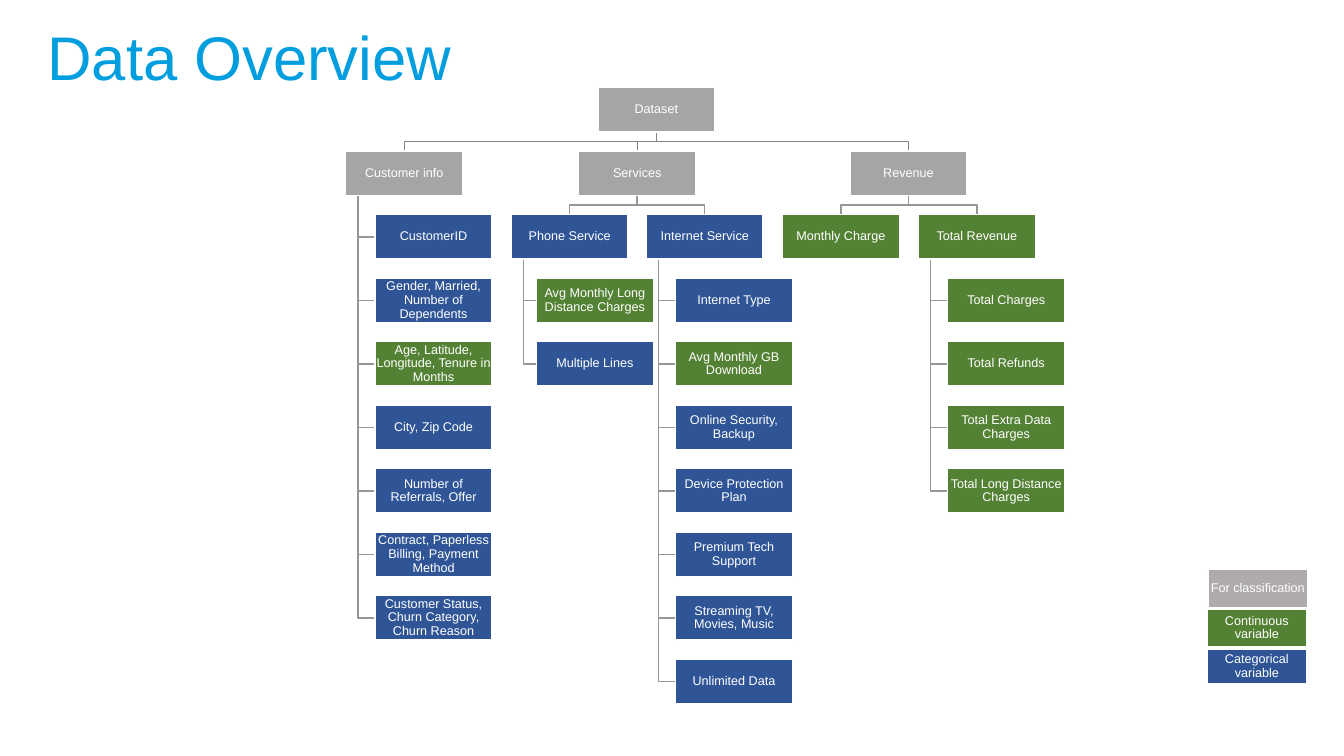
"""Build the Data Overview slide: a tree of dataset variables with a colour legend."""
from pptx import Presentation
from pptx.dml.color import RGBColor
from pptx.enum.shapes import MSO_SHAPE
from pptx.enum.text import MSO_ANCHOR, PP_ALIGN
from pptx.util import Inches, Pt

SKY = RGBColor(0x00, 0x9E, 0xDF)
WHITE = RGBColor(0xFF, 0xFF, 0xFF)
GRAY = RGBColor(0xA5, 0xA5, 0xA5)
LEGEND_GRAY = RGBColor(0xAF, 0xAB, 0xAB)
BLUE = RGBColor(0x2F, 0x55, 0x97)
GREEN = RGBColor(0x54, 0x82, 0x35)
ROOT_LINE = RGBColor(0x84, 0x84, 0x84)
BRANCH_LINE = RGBColor(0x96, 0x96, 0x96)

BOX_W, BOX_H = 1.16, 0.44
TOP, PITCH = 0.87, 0.63
STEM = 0.12

heads = [
    ("Dataset", 5.93, 0, GRAY),
    ("Customer info", 3.43, 1, GRAY),
    ("Services", 5.74, 1, GRAY),
    ("Revenue", 8.43, 1, GRAY),
    ("Phone Service", 5.07, 2, BLUE),
    ("Internet Service", 6.41, 2, BLUE),
    ("Monthly Charge", 7.76, 2, GREEN),
    ("Total Revenue", 9.11, 2, GREEN),
]
fans = [
    ("Dataset", ["Customer info", "Services", "Revenue"], ROOT_LINE),
    ("Services", ["Phone Service", "Internet Service"], BRANCH_LINE),
    ("Revenue", ["Monthly Charge", "Total Revenue"], BRANCH_LINE),
]
stacks = [
    ("Customer info", 3.72, [
        ("CustomerID", BLUE),
        ("Gender, Married, Number of Dependents", BLUE),
        ("Age, Latitude, Longitude, Tenure in Months", GREEN),
        ("City, Zip Code", BLUE),
        ("Number of Referrals, Offer", BLUE),
        ("Contract, Paperless Billing, Payment Method", BLUE),
        ("Customer Status, Churn Category, Churn Reason", BLUE),
    ]),
    ("Phone Service", 5.32, [
        ("Avg Monthly Long Distance Charges", GREEN),
        ("Multiple Lines", BLUE),
    ]),
    ("Internet Service", 6.7, [
        ("Internet Type", BLUE),
        ("Avg Monthly GB Download", GREEN),
        ("Online Security, Backup", BLUE),
        ("Device Protection Plan", BLUE),
        ("Premium Tech Support", BLUE),
        ("Streaming TV, Movies, Music", BLUE),
        ("Unlimited Data", BLUE),
    ]),
    ("Total Revenue", 9.4, [
        ("Total Charges", GREEN),
        ("Total Refunds", GREEN),
        ("Total Extra Data Charges", GREEN),
        ("Total Long Distance Charges", GREEN),
    ]),
]
legend = [
    ("For classification", 11.98, 5.65, 0.38, LEGEND_GRAY),
    ("Continuous variable", 11.97, 6.04, 0.38, GREEN),
    ("Categorical variable", 11.97, 6.44, 0.34, BLUE),
]


def add_box(shapes, text, x, y, w, h, color):
    sp = shapes.add_shape(MSO_SHAPE.RECTANGLE, Inches(x), Inches(y), Inches(w), Inches(h))
    sp.shadow.inherit = False
    sp.fill.solid()
    sp.fill.fore_color.rgb = color
    sp.line.color.rgb = WHITE
    sp.line.width = Pt(1)
    tf = sp.text_frame
    tf.word_wrap = True
    tf.vertical_anchor = MSO_ANCHOR.MIDDLE
    tf.margin_left = tf.margin_right = tf.margin_top = tf.margin_bottom = Inches(0.01)
    p = tf.paragraphs[0]
    p.alignment = PP_ALIGN.CENTER
    p.line_spacing = 0.9
    r = p.add_run()
    r.text = text
    r.font.name = "Arial"
    r.font.size = Pt(9)
    r.font.color.rgb = WHITE


def add_elbow(shapes, points, color):
    points = [(Inches(x), Inches(y)) for x, y in points]
    builder = shapes.build_freeform(*points[0])
    builder.add_line_segments(points[1:], close=False)
    sp = builder.convert_to_shape()
    sp.shadow.inherit = False
    sp.fill.background()
    sp.line.color.rgb = color
    sp.line.width = Pt(1)


prs = Presentation()
prs.slide_width = Inches(13.33)
prs.slide_height = Inches(7.5)
s = prs.slides.add_slide(prs.slide_layouts[5])

title = s.shapes.title
title.left, title.top = Inches(0.37), Inches(0.12)
title.width, title.height = Inches(12.6), Inches(0.97)
tf = title.text_frame
tf.vertical_anchor = MSO_ANCHOR.MIDDLE
p = tf.paragraphs[0]
p.alignment = PP_ALIGN.LEFT
p.line_spacing = 0.9
r = p.add_run()
r.text = "Data Overview"
r.font.name = "Arial"
r.font.size = Pt(44)
r.font.color.rgb = SKY

tree = s.shapes.add_group_shape().shapes
place = {name: (x, TOP + row * PITCH) for name, x, row, color in heads}

for parent, children, color in fans:
    x, y = place[parent]
    start_x, start_y = x + BOX_W / 2, y + BOX_H
    for child in children:
        child_x, child_y = place[child]
        end_x, bend_y = child_x + BOX_W / 2, (start_y + child_y) / 2
        add_elbow(tree, [(start_x, start_y), (start_x, bend_y),
                         (end_x, bend_y), (end_x, child_y)], color)

for parent, leaf_x, leaves in stacks:
    x, y = place[parent]
    for i in range(len(leaves)):
        leaf_mid = y + (i + 1) * PITCH + BOX_H / 2
        add_elbow(tree, [(x + STEM, y + BOX_H), (x + STEM, leaf_mid),
                         (leaf_x, leaf_mid)], BRANCH_LINE)

for name, x, row, color in heads:
    add_box(tree, name, x, TOP + row * PITCH, BOX_W, BOX_H, color)

for parent, leaf_x, leaves in stacks:
    for i, (text, color) in enumerate(leaves, 1):
        add_box(tree, text, leaf_x, place[parent][1] + i * PITCH, BOX_W, BOX_H, color)

key = s.shapes.add_group_shape().shapes
for text, x, y, h, color in legend:
    add_box(key, text, x, y, 0.99, h, color)

prs.save("out.pptx")
